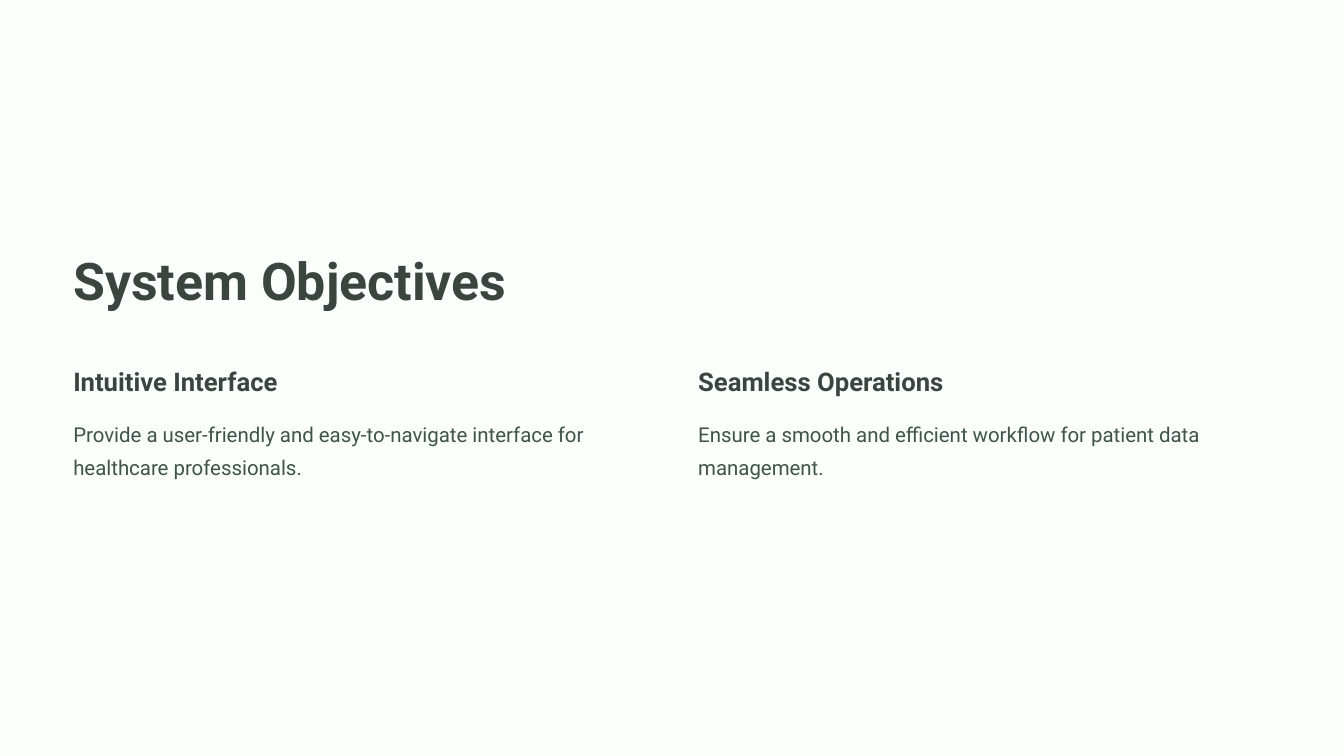
from pptx import Presentation
from pptx.dml.color import RGBColor
from pptx.enum.text import MSO_AUTO_SIZE
from pptx.util import Inches, Pt

GROW = MSO_AUTO_SIZE.SHAPE_TO_FIT_TEXT

SLIDE_WIDTH, SLIDE_HEIGHT = 20, 11.25
MARGIN, GUTTER = 1.09, 0.78
COLUMN_WIDTH = (SLIDE_WIDTH - 2 * MARGIN - GUTTER) / 2
TITLE_TOP, OBJECTIVES_TOP = 3.66, 5.42
TITLE_HEIGHT, HEADING_HEIGHT, DETAIL_HEIGHT = 1.03, 0.53, 1.11
HEADING_GAP = 0.2

COLORS = {
    "backdrop": "000000",
    "tint": "DEEEE1",
    "paper": "FAFFFA",
    "heading": "3B4540",
    "detail": "405449",
}
FORMATS = {
    "title": {"size": Pt(55.6), "bold": True, "name": "Roboto"},
    "heading": {"size": Pt(27.5), "bold": True, "name": "Roboto"},
    "detail": {"size": Pt(21.85), "bold": False, "name": "Roboto"},
}
LINE_HEIGHTS = {"title": Pt(69.4), "heading": Pt(34.4), "detail": Pt(35.6)}

OBJECTIVES = [
    ("Intuitive Interface", 0.455,
     "Provide a user-friendly and easy-to-navigate interface for healthcare professionals."),
    ("Seamless Operations", 0.48,
     "Ensure a smooth and efficient workflow for patient data management."),
]


def add_layer(slide, box, color):
    left, top, width, height = map(Inches, box)
    outline = slide.shapes.build_freeform(left, top)
    outline.add_line_segments([
        (left + width, top),
        (left + width, top + height),
        (left, top + height),
    ])
    layer = outline.convert_to_shape()
    layer.shadow.inherit = False
    layer.fill.solid()
    layer.fill.fore_color.rgb = RGBColor.from_string(COLORS[color])
    layer.line.fill.background()


def add_text(slide, box, wording, role, color):
    frame = slide.shapes.add_textbox(*map(Inches, box)).text_frame
    margins = dict.fromkeys(
        ("margin_left", "margin_top", "margin_right", "margin_bottom"), 0)
    for attribute, value in {**margins, "word_wrap": True, "auto_size": GROW}.items():
        setattr(frame, attribute, value)
    paragraph = frame.paragraphs[0]
    paragraph.line_spacing = LINE_HEIGHTS[role]
    run = paragraph.add_run()
    run.text = wording
    for attribute, value in FORMATS[role].items():
        setattr(run.font, attribute, value)
    run.font.color.rgb = RGBColor.from_string(COLORS[color])


def add_objective(slide, box, heading, heading_share, detail):
    left, top, width, height = box
    add_text(slide, (left, top, width * heading_share, HEADING_HEIGHT),
             heading, "heading", "heading")
    add_text(slide, (left, top + height - DETAIL_HEIGHT, width, DETAIL_HEIGHT),
             detail, "detail", "detail")


def add_objectives(slide, box):
    left, top, width, height = box
    column_width = (width - GUTTER) / len(OBJECTIVES)
    for column, objective in enumerate(OBJECTIVES):
        column_left = left + column * (column_width + GUTTER)
        add_objective(slide, (column_left, top, column_width, height), *objective)


def main():
    deck = Presentation()
    deck.slide_width, deck.slide_height = Inches(SLIDE_WIDTH), Inches(SLIDE_HEIGHT)
    slide = deck.slides.add_slide(deck.slide_layouts[6])
    backdrop = slide.background.fill
    backdrop.solid()
    backdrop.fore_color.rgb = RGBColor.from_string(COLORS["backdrop"])

    for color in ("tint", "paper"):
        add_layer(slide, (0, 0, SLIDE_WIDTH, SLIDE_HEIGHT), color)
    add_text(slide, (MARGIN, TITLE_TOP, COLUMN_WIDTH * 0.91, TITLE_HEIGHT),
             "System Objectives", "title", "heading")
    add_objectives(slide, (MARGIN, OBJECTIVES_TOP, SLIDE_WIDTH - 2 * MARGIN,
                           HEADING_HEIGHT + HEADING_GAP + DETAIL_HEIGHT))
    deck.save("out.pptx")


if __name__ == "__main__":
    main()
